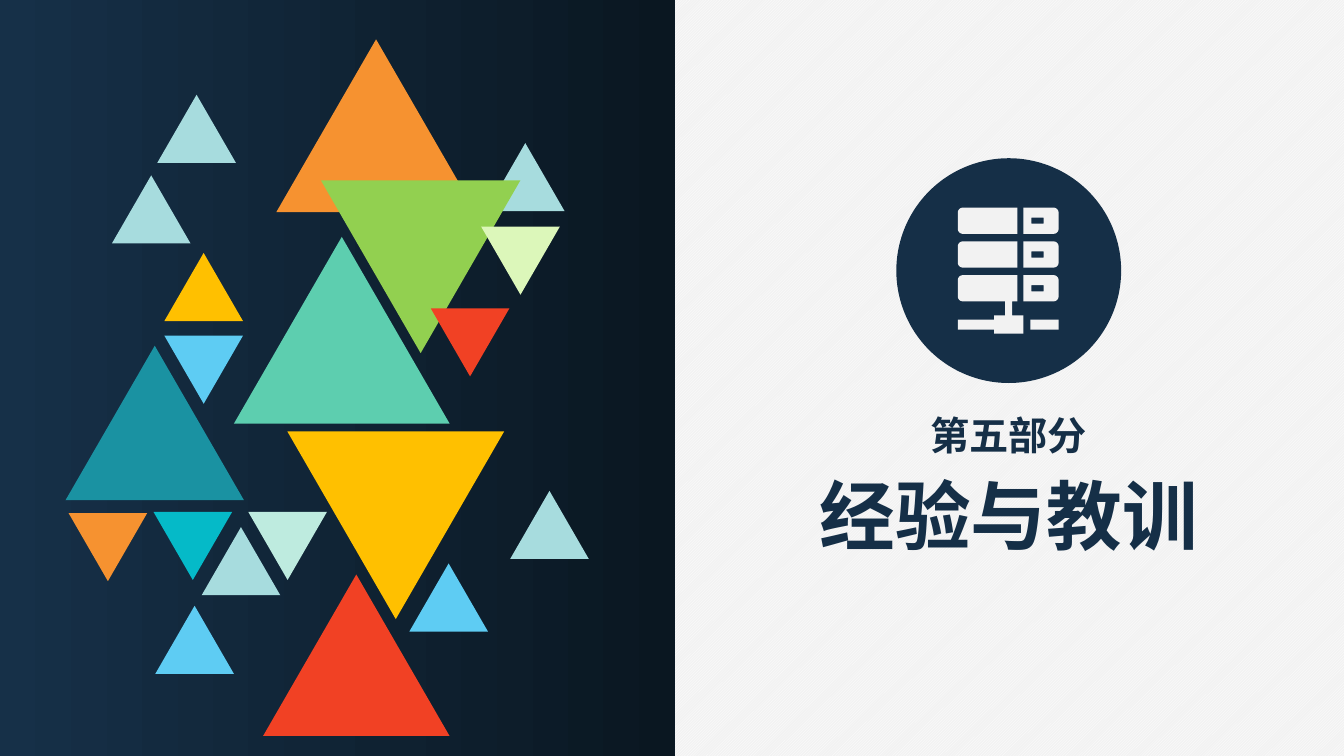
import math
from pptx import Presentation
from pptx import util as u
from pptx.dml.color import RGBColor
from pptx.enum import dml, shapes, text
from pptx.oxml import parse_xml
from pptx.oxml.ns import nsdecls, qn

FONT = "Noto Sans CJK SC"
COLORS = {
    "white": "FFFFFF", "paper": "F2F2F2", "navy": "152F47",
    "panel_start": "163048", "panel_end": "0A1721",
    "mist": "A7DCDE", "mint": "BEEBDF", "jade": "5DCEAF", "teal": "1A92A2",
    "sky": "5ECCF3", "orange": "F69230", "green": "92D050", "lime": "DCF7BA",
    "cyan": "05BAC8", "amber": "FFC000", "red": "F14124",
}
SMALL = 0.78
# left, top, side, rotation, colour; back to front
TRIANGLES = [
    (1.11, 1.74, SMALL, 0, "mist"), (4.82, 1.42, SMALL, 0, "mist"),
    (2.56, 4.91, SMALL, 60, "mint"), (2.32, 2.35, 2.14, 0, "jade"),
    (0.65, 3.43, 1.77, 0, "teal"), (2.00, 5.23, SMALL, 0, "mist"),
    (1.54, 6.01, SMALL, 0, "sky"), (2.74, 0.39, 1.98, 0, "orange"),
    (1.56, 0.94, SMALL, 0, "mist"), (3.43, 1.36, 1.98, 60, "green"),
    (4.87, 2.08, SMALL, 60, "lime"), (1.62, 4.91, SMALL, 60, "cyan"),
    (0.68, 5.09, SMALL, 180, "orange"), (1.63, 2.51, SMALL, 0, "amber"),
    (1.63, 3.33, SMALL, 180, "sky"), (4.37, 2.89, SMALL, 60, "red"),
    (2.84, 6.10, 1.85, 120, "red"), (5.06, 4.87, SMALL, 0, "mist"),
    (2.85, 4.28, 2.15, 180, "amber"), (4.06, 5.59, SMALL, 0, "sky"),
]


def rgb(name):
    return RGBColor.from_string(COLORS[name])


def finish(sp, color):
    sp.shadow.inherit = False
    sp.line.fill.background()
    sp.fill.solid()
    sp.fill.fore_color.rgb = rgb(color)


def paint_background(s):
    fill = s.background.fill
    fill.patterned()
    fill.pattern = dml.MSO_PATTERN.LIGHT_UPWARD_DIAGONAL
    fill.fore_color.rgb = rgb("white")
    fill.back_color.rgb = rgb("paper")


def add_triangle_panel(s, left, top, width, height):
    """Dark gradient panel with the triangle mosaic."""
    panel = s.shapes.add_shape(shapes.MSO_SHAPE.RECTANGLE, u.Inches(left),
                               u.Inches(top), u.Inches(width), u.Inches(height))
    finish(panel, "panel_start")
    panel.fill.gradient()
    panel.fill.gradient_angle = 0
    for stop, color, position in zip(panel.fill.gradient_stops,
                                     ("panel_start", "panel_end"), (0, 1)):
        stop.color.rgb = rgb(color)
        stop.position = position

    for x, y, side, rotation, color in TRIANGLES:
        sp = s.shapes.add_shape(
            shapes.MSO_SHAPE.ISOSCELES_TRIANGLE, u.Inches(left + x), u.Inches(top + y),
            u.Inches(side), u.Inches(side * math.sqrt(3) / 2))
        sp.rotation = rotation
        finish(sp, color)


def box(x1, y1, x2, y2):
    return [(x1, y1), (x2, y1), (x2, y2), (x1, y2)]


def rounded_end(inner, outer, top, bottom, radius=0.05):
    """Outline with a square inner end and a rounded outer end."""
    side = 1 if outer > inner else -1
    center = outer - side * radius
    points = [(inner, top)]
    for cy, start in ((top + radius, -90), (bottom - radius, 0)):
        for step in range(7):
            angle = math.radians(start + 15 * step)
            points.append((center + side * radius * math.cos(angle),
                           cy + radius * math.sin(angle)))
    return points + [(inner, bottom)]


def add_server_badge(s, left, top, size):
    """Round badge with a server icon."""
    group = s.shapes.add_group_shape()
    disc = group.shapes.add_shape(shapes.MSO_SHAPE.OVAL, u.Inches(left), u.Inches(top),
                                  u.Inches(size), u.Inches(size))
    finish(disc, "navy")

    # Three server units, each with a slot
    outlines = []
    for row in range(3):
        y = 0.335 * row
        outlines += [rounded_end(0.59, 0, y, y + 0.26),
                     rounded_end(0.65, 1, y, y + 0.26),
                     box(0.73, y + 0.1, 0.85, y + 0.16)]
    # Network stem, plug and cables
    outlines += [box(0.47, 0.93, 0.54, 1.07), box(0.36, 1.07, 0.65, 1.25),
                 box(0, 1.11, 0.36, 1.21), box(0.72, 1.11, 1, 1.21)]

    def place(point):
        return (u.Inches(left + 0.61 + point[0]), u.Inches(top + 0.49 + point[1]))

    first, *others = [[place(pt) for pt in outline] for outline in outlines]
    builder = group.shapes.build_freeform(*first[0])
    builder.add_line_segments(first[1:], close=True)
    for outline in others:
        builder.move_to(*outline[0])
        builder.add_line_segments(outline[1:], close=True)
    finish(builder.convert_to_shape(), "paper")


def set_heading(sp, words, size, left, top, width, height):
    sp.left, sp.top, sp.width, sp.height = map(u.Inches, (left, top, width, height))
    tf = sp.text_frame
    tf.word_wrap = False
    tf.auto_size = text.MSO_AUTO_SIZE.SHAPE_TO_FIT_TEXT
    tf.vertical_anchor = text.MSO_ANCHOR.TOP
    p = tf.paragraphs[0]
    p.text = words
    p.alignment = text.PP_ALIGN.CENTER
    p.line_spacing = 1.0
    p.space_before = u.Pt(0)
    p.font.size = u.Pt(size)
    p.font.bold = True
    p.font.color.rgb = rgb("navy")
    p.font.name = FONT
    # East Asian typeface
    latin = next(p._p.iter(qn("a:latin")))
    latin.addnext(parse_xml(f'<a:ea {nsdecls("a")} typeface="{FONT}"/>'))


def add_section_heading(s, left, top, width):
    """Part number above the section title."""
    set_heading(s.shapes.title, "经验与教训", 54, left, top + 0.57, width, 1.01)
    label = s.shapes.add_textbox(0, 0, 0, 0)
    label_width = 1.77
    set_heading(label, "第五部分", 28, left + (width - label_width) / 2, top,
                label_width, 0.57)


def main():
    prs = Presentation()
    prs.slide_width, prs.slide_height = u.Inches(13.33), u.Inches(7.5)
    s = prs.slides.add_slide(prs.slide_layouts[5])
    paint_background(s)
    add_triangle_panel(s, 0, 0, 6.69, 7.5)
    add_section_heading(s, 8.01, 4.03, 3.99)
    add_server_badge(s, 8.89, 1.57, 2.23)
    prs.save("out.pptx")


if __name__ == "__main__":
    main()
